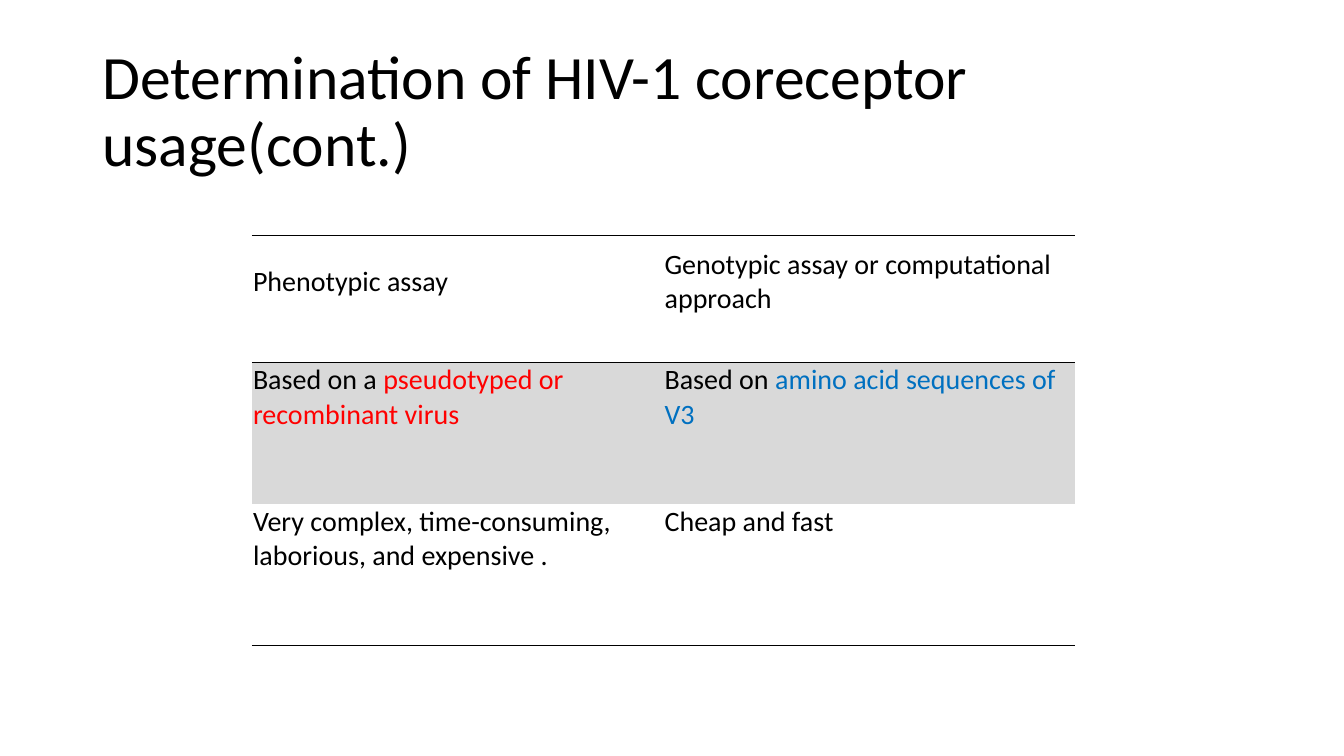
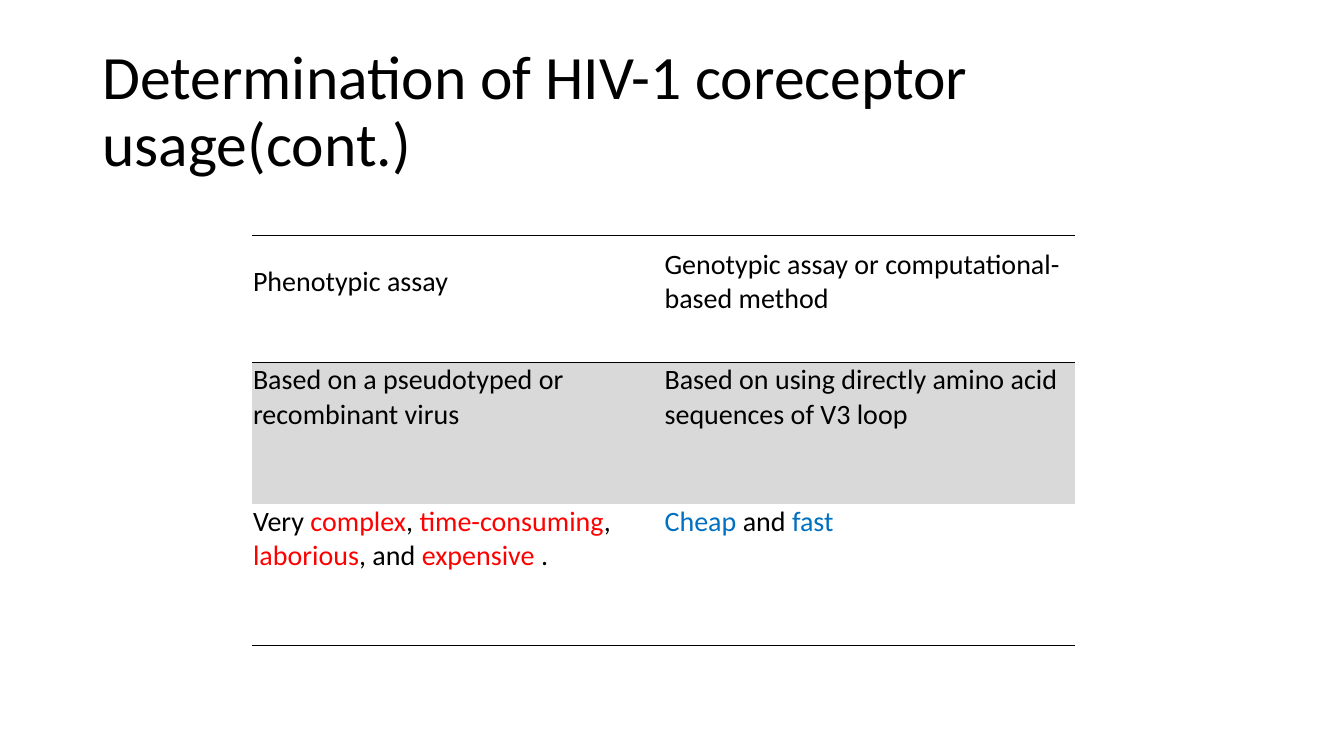
import pptx
import pptx.dml.color
import pptx.enum.text
import pptx.oxml
import pptx.oxml.ns
import pptx.util

EMU_PER_PX = 9525  # 96 px to the inch
BLACK, GREY, RED, BLUE = "000000", "D9D9D9", "FF0000", "0070C0"
TITLE = "Determination of HIV-1 coreceptor usage(cont.)"


def px(length):
    return pptx.util.Emu(length * EMU_PER_PX)


def rgb(colour):
    return pptx.dml.color.RGBColor.from_string(colour)


def red(text):
    return text, RED


def blue(text):
    return text, BLUE


def write(text_frame, runs, size=20, font="Calibri", colour=BLACK, line_spacing=1.0):
    """Fill one left-aligned paragraph; a run is a string or a (text, colour) pair."""
    text_frame.word_wrap = True
    paragraph = text_frame.paragraphs[0]
    paragraph.alignment = pptx.enum.text.PP_ALIGN.LEFT
    paragraph.line_spacing = line_spacing
    for item in runs:
        text, run_colour = (item, colour) if isinstance(item, str) else item
        run = paragraph.add_run()
        run.text = text
        run.font.name = font
        run.font.size = pptx.util.Pt(size)
        run.font.bold = False
        run.font.color.rgb = rgb(run_colour)


def set_borders(cell, top, bottom):
    """Draw the wanted horizontal rules and switch off all other borders."""
    properties = cell._tc.get_or_add_tcPr()
    visible = {"L": False, "R": False, "T": top, "B": bottom}
    for side, shown in visible.items():
        paint = (f'<a:solidFill><a:srgbClr val="{BLACK}"/></a:solidFill>'
                 if shown else "<a:noFill/>")
        properties.append(pptx.oxml.parse_xml(
            f'<a:ln{side} w="{pptx.util.Pt(1)}" {pptx.oxml.ns.nsdecls("a")}>'
            f"{paint}</a:ln{side}>"))


class Deck:
    TITLE_BOX = (88, 38, 1104, 139)
    TABLE_CORNER = (240, 224)
    COLUMN_WIDTH = 392
    ROW_HEIGHTS = (121, 135, 135)
    RULED_EDGES = (0, 1, 3)
    SHADED_ROW = 1
    CELL_INSET = 1
    HEADER_BOTTOM_INSET = 33

    def __init__(self):
        self.presentation = pptx.Presentation()
        self.presentation.slide_width = px(1280)
        self.presentation.slide_height = px(720)
        self.slide = None

    def add_slide(self, title):
        layout = self.presentation.slide_layouts.get_by_name("Title Only")
        self.slide = self.presentation.slides.add_slide(layout)
        shape = self.slide.shapes.title
        shape.left, shape.top, shape.width, shape.height = map(px, self.TITLE_BOX)
        shape.text_frame.auto_size = pptx.enum.text.MSO_AUTO_SIZE.NONE
        shape.text_frame.vertical_anchor = pptx.enum.text.MSO_ANCHOR.MIDDLE
        write(shape.text_frame, [title], size=44, line_spacing=0.9)

    def add_table(self, rows):
        column_count = len(rows[0])
        size = (self.COLUMN_WIDTH * column_count, sum(self.ROW_HEIGHTS))
        table = self.slide.shapes.add_table(
            len(rows), column_count, *map(px, self.TABLE_CORNER + size)).table
        table.first_row = table.horz_banding = False
        for column in table.columns:
            column.width = px(self.COLUMN_WIDTH)
        for row_index, row in enumerate(rows):
            table.rows[row_index].height = px(self.ROW_HEIGHTS[row_index])
            for column_index, runs in enumerate(row):
                self.format_cell(table.cell(row_index, column_index), row_index, runs)

    def format_cell(self, cell, row_index, runs):
        is_header = row_index == 0
        cell.margin_left = cell.margin_right = cell.margin_top = px(self.CELL_INSET)
        cell.margin_bottom = px(self.HEADER_BOTTOM_INSET if is_header else 0)
        anchors = pptx.enum.text.MSO_ANCHOR
        cell.vertical_anchor = anchors.MIDDLE if is_header else anchors.TOP
        set_borders(cell, row_index in self.RULED_EDGES,
                    row_index + 1 in self.RULED_EDGES)
        if row_index == self.SHADED_ROW:
            cell.fill.solid()
            cell.fill.fore_color.rgb = rgb(GREY)
        else:
            cell.fill.background()
        write(cell.text_frame, runs)


def main():
    comparisons = [
        [
            [["Phenotypic assay"], ["Genotypic assay or computational approach"]],
            [["Based on a ", red("pseudotyped or recombinant virus")],
             ["Based on ", blue("amino acid sequences of V3")]],
            [["Very complex, time-consuming, laborious, and expensive ."],
             ["Cheap and fast"]],
        ],
        [
            [["Phenotypic assay"], ["Genotypic assay or computational-based method"]],
            [["Based on a pseudotyped or recombinant virus"],
             ["Based on using directly amino acid sequences of V3 loop"]],
            [["Very ", red("complex"), ", ", red("time-consuming"), ", ",
              red("laborious"), ", and ", red("expensive"), " ."],
             [blue("Cheap "), "and ", blue("fast")]],
        ],
    ]
    deck = Deck()
    for rows in comparisons:
        deck.add_slide(TITLE)
        deck.add_table(rows)
    deck.presentation.save("out.pptx")


if __name__ == "__main__":
    main()
